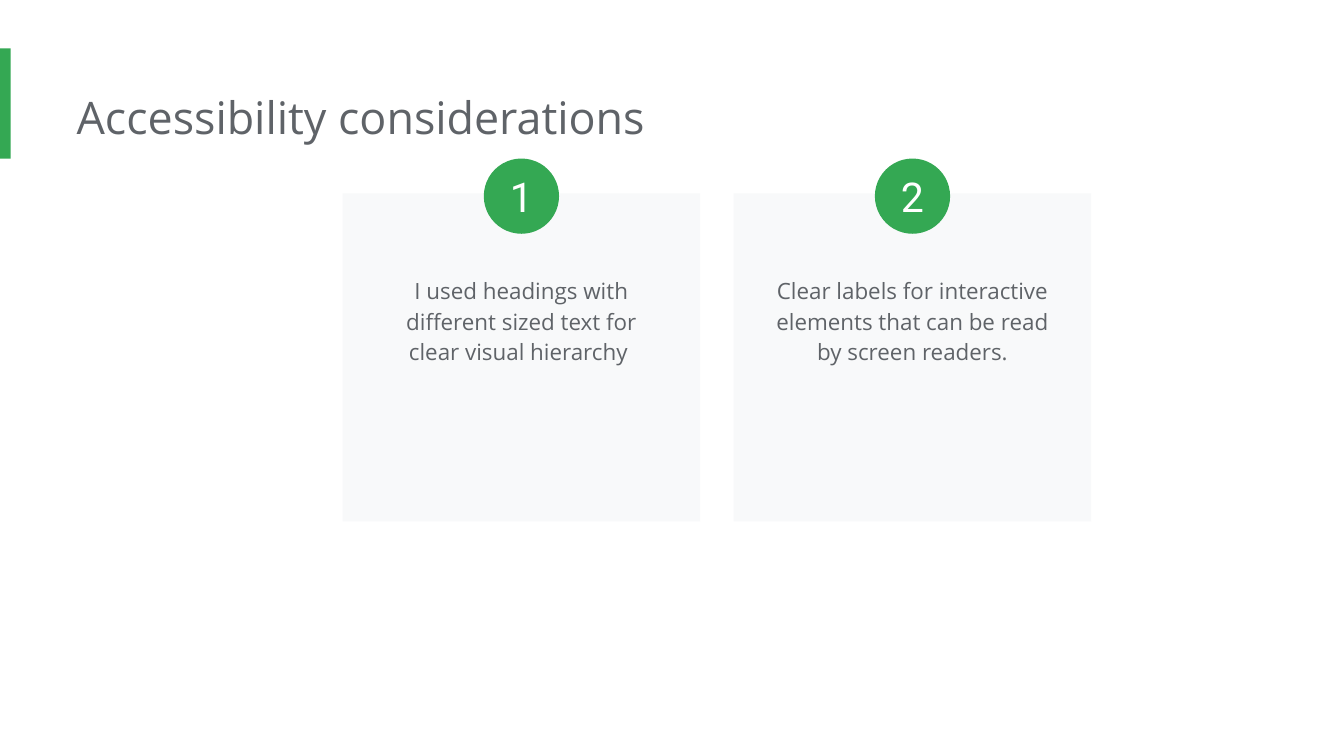
"""Build the accessibility considerations slide with two numbered cards."""
import pptx
import pptx.dml.color
import pptx.enum.shapes
import pptx.enum.text
import pptx.util

TITLE = "Accessibility considerations"
CARDS = [
    "I used headings with different sized text for clear visual hierarchy ",
    "Clear labels for interactive elements that can be read by screen readers.",
]

SLIDE_SIZE = (10, 10 * 9 / 16)
ACCENT_BAR = (0, 0.36, 0.08, 0.82)
TITLE_BOX = (0.57, 0.57, 7.66, 0.61)
GRID = {"left": 2.55, "top": 1.44, "width": 2.66, "height": 2.44, "gap": 0.25}
LABEL = {"width": 2.24, "height": 0.9, "drop": 0.49}
BADGE = {"size": 0.56, "rise": 0.26}

THEME = {
    "green": "34A853",
    "card": "F8F9FA",
    "title": {"size": 24, "name": "Open Sans", "color": "5F6368"},
    "label": {"size": 12, "name": "Open Sans", "color": "5F6368"},
    "badge": {"size": 22, "name": "Roboto", "color": "FFFFFF"},
}

ALIGN = pptx.enum.text.PP_ALIGN
ANCHOR = pptx.enum.text.MSO_ANCHOR
SHAPE = pptx.enum.shapes.MSO_SHAPE


def inches(values):
    return [pptx.util.Inches(value) for value in values]


def rgb(value):
    return pptx.dml.color.RGBColor.from_string(value)


def add_filled(slide, kind, box, color):
    shape = slide.shapes.add_shape(kind, *inches(box))
    shape.shadow.inherit = False
    shape.fill.solid()
    shape.fill.fore_color.rgb = rgb(color)
    shape.line.fill.background()
    return shape


def write(shape, text, style, margins, align=ALIGN.CENTER, anchor=ANCHOR.TOP, spacing=1.0):
    frame = shape.text_frame
    sides = ("margin_left", "margin_top", "margin_right", "margin_bottom")
    settings = dict(zip(sides, inches(margins)))
    settings.update(word_wrap=True, vertical_anchor=anchor,
                    auto_size=pptx.enum.text.MSO_AUTO_SIZE.NONE)
    for name, value in settings.items():
        setattr(frame, name, value)
    paragraph = frame.paragraphs[0]
    for name, value in {"alignment": align, "line_spacing": spacing}.items():
        setattr(paragraph, name, value)
    run = paragraph.add_run()
    run.text = text
    for name, value in {"size": pptx.util.Pt(style["size"]), "name": style["name"]}.items():
        setattr(run.font, name, value)
    run.font.color.rgb = rgb(style["color"])


def add_card(slide, index, text):
    left = GRID["left"] + index * (GRID["width"] + GRID["gap"])
    center = left + GRID["width"] / 2
    top = GRID["top"]
    add_filled(slide, SHAPE.RECTANGLE, (left, top, GRID["width"], GRID["height"]), THEME["card"])

    label_box = (center - LABEL["width"] / 2, top + LABEL["drop"], LABEL["width"], LABEL["height"])
    label = slide.shapes.add_textbox(*inches(label_box))
    write(label, text, THEME["label"], [0.1] * 4, spacing=1.15)

    size = BADGE["size"]
    badge_box = (center - size / 2, top - BADGE["rise"], size, size)
    badge = add_filled(slide, SHAPE.OVAL, badge_box, THEME["green"])
    write(badge, str(index + 1), THEME["badge"], [0] * 4, anchor=ANCHOR.MIDDLE)


def main():
    presentation = pptx.Presentation()
    presentation.slide_width, presentation.slide_height = inches(SLIDE_SIZE)
    slide = presentation.slides.add_slide(presentation.slide_layouts[5])

    add_filled(slide, SHAPE.RECTANGLE, ACCENT_BAR, THEME["green"])
    title = slide.shapes.title
    for name, value in zip(("left", "top", "width", "height"), inches(TITLE_BOX)):
        setattr(title, name, value)
    write(title, TITLE, THEME["title"], (0, 0.1, 0.1, 0.1), align=ALIGN.LEFT)

    for index, text in enumerate(CARDS):
        add_card(slide, index, text)
    presentation.save("out.pptx")


if __name__ == "__main__":
    main()
